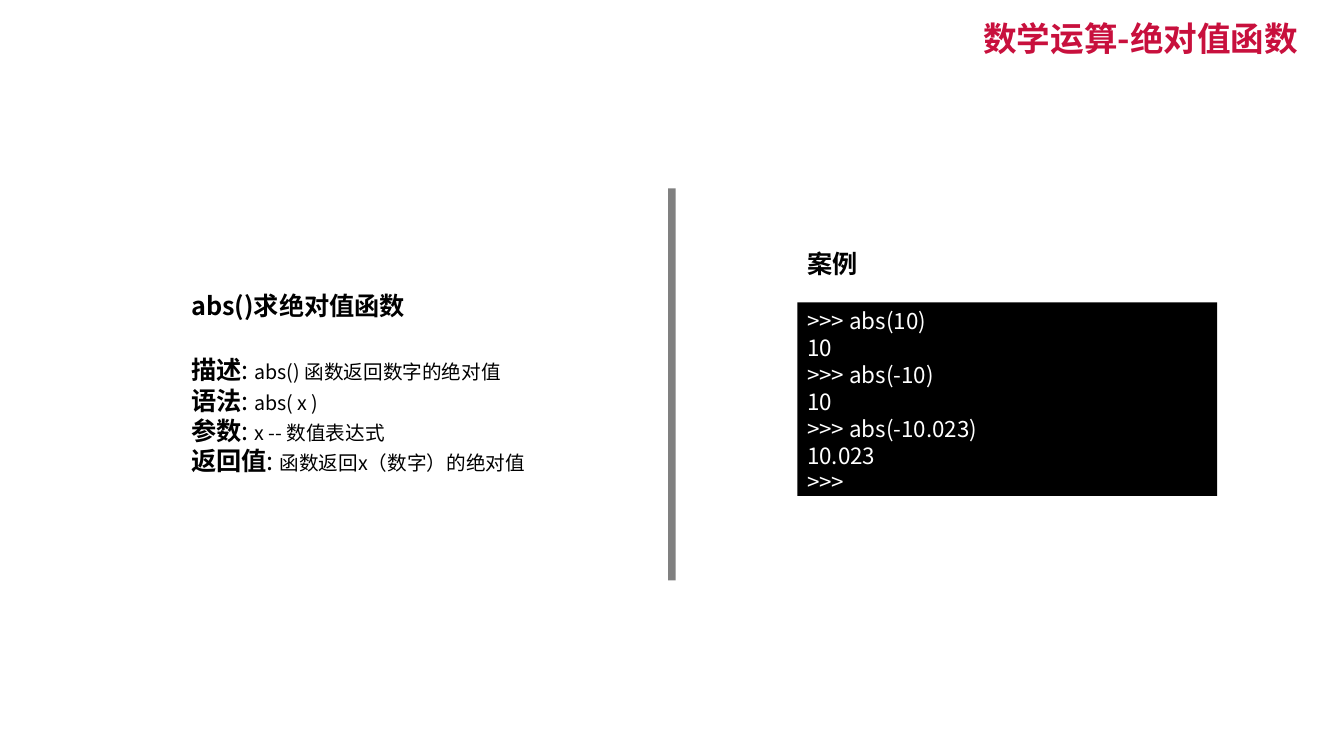
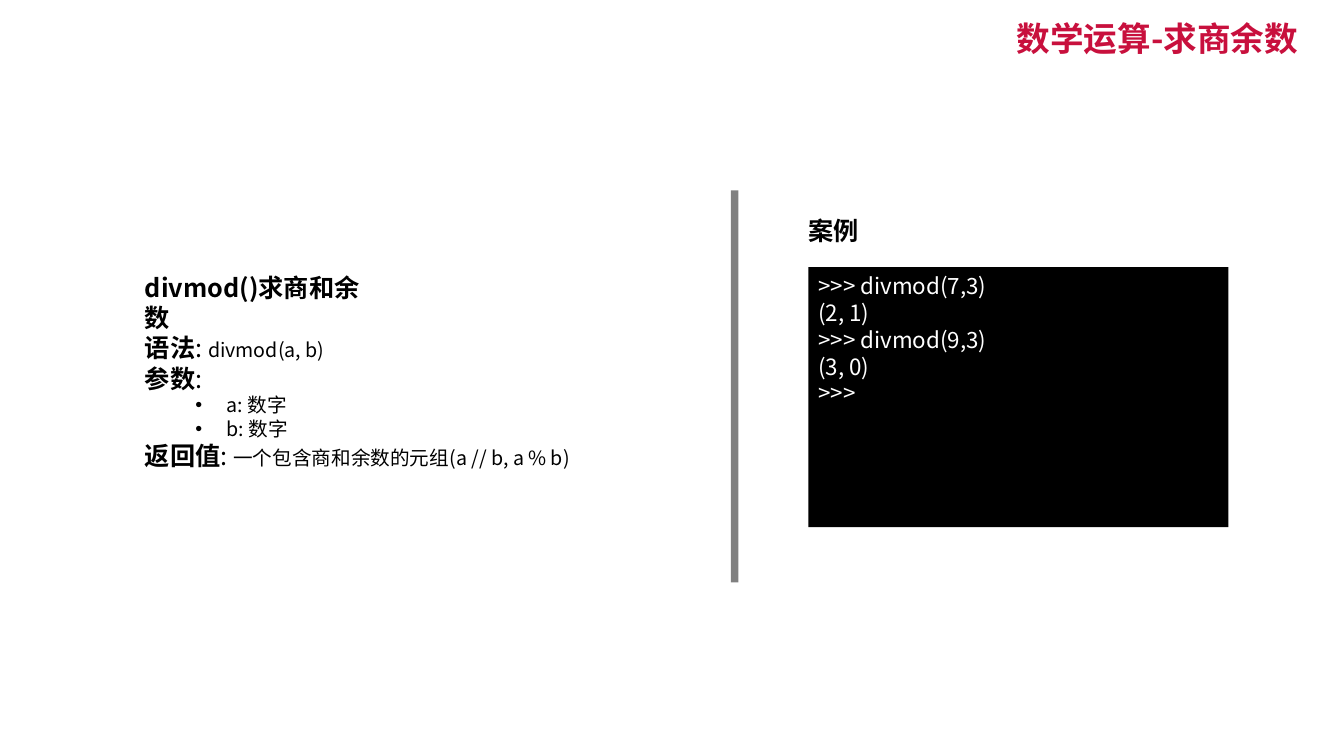
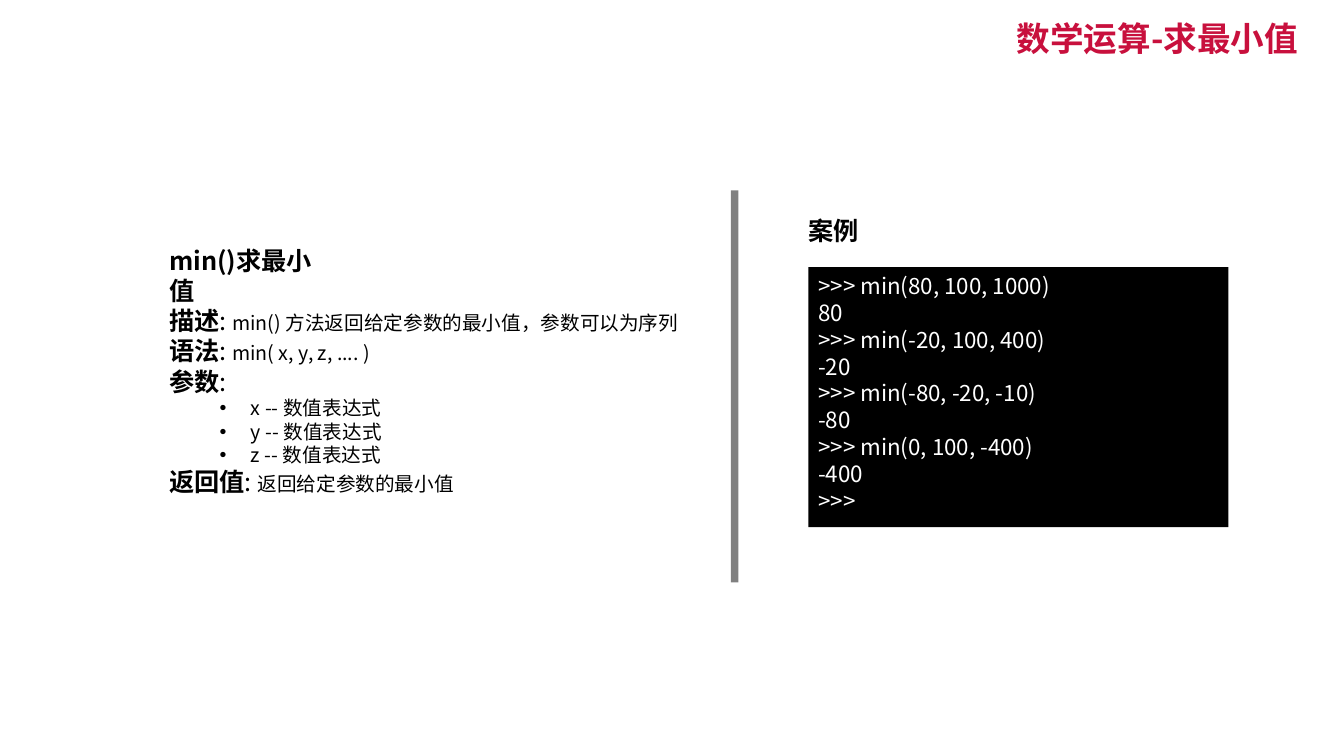
from dataclasses import dataclass
from lxml.etree import SubElement
from pptx import Presentation
from pptx.dml.color import RGBColor as RGB
from pptx.enum.shapes import MSO_SHAPE as Shape
from pptx.enum.text import MSO_ANCHOR as Anchor, MSO_AUTO_SIZE as Auto, PP_ALIGN as Align
from pptx.oxml.ns import qn
from pptx.util import Pt


@dataclass(frozen=True)
class Theme:
    font: str = "Noto Sans CJK SC"
    red: RGB = RGB(0xC8, 0x10, 0x3D)
    black: RGB = RGB(0, 0, 0)
    white: RGB = RGB(255, 255, 255)
    gray: RGB = RGB(0x80, 0x80, 0x80)
    title: int = 24
    head: int = 18
    code: int = 16
    body: int = 14


T = Theme()
TITLE = (480, 14.4, 454.4, 29.6)
BAR = (5.4, 280)
HEAD_H = 28.8
CASE_W = 51
CODE_W = 300

# Notes are (label, colon, text); a plain string is a bullet.
# Boxes are (left, top, width) or (left, top, width, height).
WIDE = dict(bar=(522, 136), case=(570.2, 150.5), panel=(577.4, 190.8, CODE_W, 185.8))
SLIDES = [
    dict(
        title="数学运算-绝对值函数",
        head="abs()求绝对值函数",
        notes=[
            ("描述", ": ", "abs() 函数返回数字的绝对值"),
            ("语法", ": ", "abs( x )"),
            ("参数", ": ", "x -- 数值表达式"),
            ("返回值", ": ", "函数返回x（数字）的绝对值"),
        ],
        code=[">>> abs(10)", "10", ">>> abs(-10)", "10",
              ">>> abs(-10.023)", "10.023", ">>>"],
        head_at=(129.6, 203.8, 169.2),
        notes_at=(129.6, 249.8, 273.6, 94.3),
        bar=(477.2, 134.6), case=(569.5, 174.2), panel=(569.5, 216, CODE_W, 138.2),
    ),
    dict(
        title="数学运算-求商余数",
        head="divmod()求商和余数",
        notes=[
            ("语法", ": ", "divmod(a, b)"),
            ("参数", ":", ""),
            "a: 数字",
            "b: 数字",
            ("返回值", ": ", "一个包含商和余数的元组(a // b, a % b)"),
        ],
        code=[">>> divmod(7,3)", "(2, 1)", ">>> divmod(9,3)", "(3, 0)", ">>>"],
        head_at=(96.5, 190.8, 180),
        notes_at=(96.5, 234, 400.3, 106.6),
        **WIDE,
    ),
    dict(
        title="数学运算-求最小值",
        head="min()求最小值",
        notes=[
            ("描述", ": ", "min() 方法返回给定参数的最小值，参数可以为序列"),
            ("语法", ": ", "min( x, y, z, .... )"),
            ("参数", ":", ""),
            "x -- 数值表达式",
            "y -- 数值表达式",
            "z -- 数值表达式",
            ("返回值", ": ", "返回给定参数的最小值"),
        ],
        code=[">>> min(80, 100, 1000)", "80", ">>> min(-20, 100, 400)", "-20",
              ">>> min(-80, -20, -10)", "-80", ">>> min(0, 100, -400)", "-400", ">>>"],
        head_at=(113.8, 171.4, 133.9),
        notes_at=(113.8, 214.6, 386.6, 162.7),
        **WIDE,
    ),
]


def style(run, size, color=T.black, bold=False):
    font = run.font
    font.name, font.size, font.bold = T.font, Pt(size), bold
    font.color.rgb = color
    SubElement(run._r.rPr, qn("a:ea")).set("typeface", T.font)


def write(frame, lines, size, color=T.black, bold=False):
    frame.text = "\n".join(lines)
    for para in frame.paragraphs:
        for run in para.runs:
            style(run, size, color, bold)


def add_box(slide, box):
    frame = slide.shapes.add_textbox(*map(Pt, box)).text_frame
    frame.word_wrap = True
    return frame


def add_rect(slide, box, color):
    rect = slide.shapes.add_shape(Shape.RECTANGLE, *map(Pt, box))
    rect.shadow.inherit = False
    rect.fill.solid()
    rect.fill.fore_color.rgb = color
    rect.line.fill.background()
    return rect


def set_bullet(para):
    props = para._p.get_or_add_pPr()
    props.set("marL", str(Pt(58.4)))
    props.set("indent", str(-Pt(22.4)))
    SubElement(props, qn("a:buFont")).set("typeface", "Arial")
    SubElement(props, qn("a:buChar")).set("char", "•")


def add_notes(slide, notes, box):
    frame = add_box(slide, box)
    for i, note in enumerate(notes):
        para = frame.add_paragraph() if i else frame.paragraphs[0]
        if isinstance(note, str):
            para.level = 1
            set_bullet(para)
            parts = [(note, T.body, False)]
        else:
            parts = zip(note, (T.head, T.head, T.body), (True, False, False))
        for text, size, bold in parts:
            if text:
                run = para.add_run()
                run.text = text
                style(run, size, bold=bold)


def add_title(slide, text):
    title = slide.shapes.title
    title.left, title.top, title.width, title.height = map(Pt, TITLE)
    frame = title.text_frame
    frame.auto_size = Auto.NONE
    frame.vertical_anchor = Anchor.MIDDLE
    write(frame, [text], T.title, T.red, True)
    para = frame.paragraphs[0]
    para.alignment, para.line_spacing = Align.RIGHT, 0.9


def add_code(slide, lines, box):
    frame = add_rect(slide, box, T.black).text_frame
    frame.vertical_anchor = Anchor.TOP
    write(frame, lines, T.code, T.white)
    for para in frame.paragraphs:
        para.alignment = Align.LEFT


def main():
    deck = Presentation()
    deck.slide_width, deck.slide_height = Pt(960), Pt(540)
    for page in SLIDES:
        slide = deck.slides.add_slide(deck.slide_layouts[5])
        add_title(slide, page["title"])
        heads = [(page["head"], page["head_at"]), ("案例", (*page["case"], CASE_W))]
        for text, place in heads:
            write(add_box(slide, (*place, HEAD_H)), [text], T.head, bold=True)
        add_notes(slide, page["notes"], page["notes_at"])
        add_code(slide, page["code"], page["panel"])
        add_rect(slide, (*page["bar"], *BAR), T.gray)
    deck.save("out.pptx")


if __name__ == "__main__":
    main()
